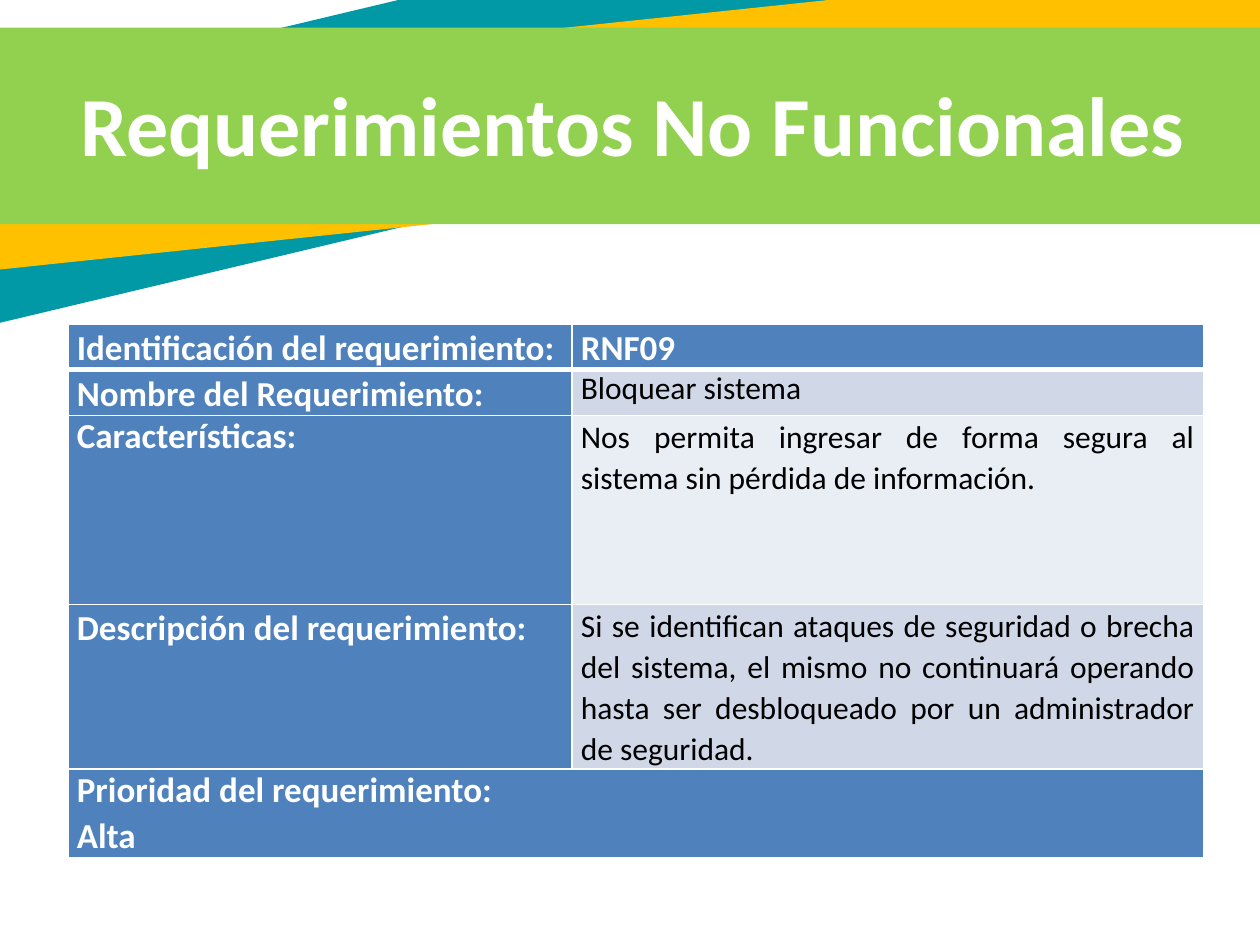
from dataclasses import dataclass

from pptx import Presentation
from pptx.dml.color import RGBColor
from pptx.enum.shapes import MSO_SHAPE as Shape
from pptx.enum.text import MSO_ANCHOR as Anchor, PP_ALIGN as Align
from pptx.oxml.xmlchemy import OxmlElement
from pptx.util import Inches, Pt

COLORS = {
    "teal": "0099A5",
    "amber": "FFC000",
    "green": "92D050",
    "blue": "4F81BD",
    "band_dark": "D0D8E8",
    "band_light": "E9EDF4",
    "white": "FFFFFF",
    "black": "000000",
}
FONT = "Calibri"
COLUMN_WIDTHS = (4, 5.01)


@dataclass
class Band:
    left: float
    top: float
    width: float
    height: float
    color: str
    rotation: float = 0


@dataclass
class Entry:
    text: str
    fill: str = "blue"
    size: int = 20
    color: str = "white"
    bold: bool = True
    align: Align = Align.LEFT
    spacings: tuple = (1.07,)


@dataclass
class Row:
    height: float
    entries: tuple


def detail(text: str, fill: str, align: Align, spacing: float) -> Entry:
    return Entry(text, fill, 18, "black", False, align, (spacing,))


BANDS = (
    Band(-2.51, -0.18, 13.06, 1.76, "teal", 346.6),
    Band(-1.1, 0.2, 11.63, 1.44, "amber", 354),
    Band(-1.06, 0.22, 11.63, 1.56, "green"),
)

ROWS = (
    Row(0.22, (Entry("Identificación del requerimiento:"), Entry("RNF09"))),
    Row(0.3, (
        Entry("Nombre del Requerimiento:"),
        detail("Bloquear sistema", "band_dark", Align.LEFT, 1.0),
    )),
    Row(1.5, (
        Entry("Características:", spacings=(1.0,)),
        detail(
            "Nos permita ingresar de forma segura al sistema sin pérdida de información.",
            "band_light", Align.JUSTIFY, 1.07,
        ),
    )),
    Row(1.08, (
        Entry("Descripción del requerimiento:"),
        detail(
            "Si se identifican ataques de seguridad o brecha del sistema, el mismo no "
            "continuará operando hasta ser desbloqueado por un administrador de seguridad.",
            "band_dark", Align.JUSTIFY, 1.07,
        ),
    )),
    Row(0.58, (Entry("Prioridad del requerimiento:\nAlta", spacings=(1.0, 1.07)),)),
)


def rgb(name: str) -> RGBColor:
    return RGBColor.from_string(COLORS[name])


def format_runs(paragraph, size: int, color: str, bold: bool) -> None:
    for run in paragraph.runs:
        run.font.name = FONT
        run.font.size = Pt(size)
        run.font.bold = bold
        run.font.color.rgb = rgb(color)


def add_band(slide, band: Band) -> None:
    shape = slide.shapes.add_shape(
        Shape.RECTANGLE, Inches(band.left), Inches(band.top),
        Inches(band.width), Inches(band.height),
    )
    shape.rotation = band.rotation
    shape.shadow.inherit = False
    shape.fill.solid()
    shape.fill.fore_color.rgb = rgb(band.color)
    shape.line.fill.background()


def add_title(slide, text: str) -> None:
    shape = slide.shapes.add_textbox(Inches(0.54), Inches(0.49), Inches(10.56), Inches(0.97))
    shape.text_frame.word_wrap = True
    shape.text_frame.vertical_anchor = Anchor.MIDDLE
    shape.text_frame.text = text
    format_runs(shape.text_frame.paragraphs[0], 48, "white", True)


def add_borders(cell, top: float, bottom: float) -> None:
    properties = cell._tc.get_or_add_tcPr()
    for side, width in (("L", 1), ("R", 1), ("T", top), ("B", bottom)):
        line = OxmlElement(f"a:ln{side}")
        line.set("w", str(Pt(width)))
        fill = OxmlElement("a:solidFill")
        color = OxmlElement("a:srgbClr")
        color.set("val", COLORS["white"])
        fill.append(color)
        line.append(fill)
        properties.append(line)


def fill_cell(cell, entry: Entry) -> None:
    cell.margin_left = cell.margin_right = Inches(0.07)
    cell.margin_top = cell.margin_bottom = 0
    cell.fill.solid()
    cell.fill.fore_color.rgb = rgb(entry.fill)
    cell.text_frame.text = entry.text
    for paragraph, spacing in zip(cell.text_frame.paragraphs, entry.spacings):
        paragraph.alignment = entry.align
        paragraph.line_spacing = spacing
        format_runs(paragraph, entry.size, entry.color, entry.bold)


def add_requirement_table(slide, rows: tuple) -> None:
    table = slide.shapes.add_table(
        len(rows), len(COLUMN_WIDTHS), Inches(0.54), Inches(2.57),
        Inches(sum(COLUMN_WIDTHS)), Inches(sum(row.height for row in rows)),
    ).table
    for column, width in zip(table.columns, COLUMN_WIDTHS):
        column.width = Inches(width)
    for index, row in enumerate(rows):
        table.rows[index].height = Inches(row.height)
        for column in range(len(COLUMN_WIDTHS)):
            add_borders(
                table.cell(index, column),
                top=3 if index == 1 else 1, bottom=3 if index == 0 else 1,
            )
        if len(row.entries) == 1:
            table.cell(index, 0).merge(table.cell(index, len(COLUMN_WIDTHS) - 1))
        for column, entry in enumerate(row.entries):
            fill_cell(table.cell(index, column), entry)


def main() -> None:
    presentation = Presentation()
    presentation.slide_width = Inches(10)
    presentation.slide_height = Inches(7.5)
    slide = presentation.slides.add_slide(presentation.slide_layouts[6])
    for band in BANDS:
        add_band(slide, band)
    add_requirement_table(slide, ROWS)
    add_title(slide, "Requerimientos No Funcionales")
    presentation.save("out.pptx")


if __name__ == "__main__":
    main()
